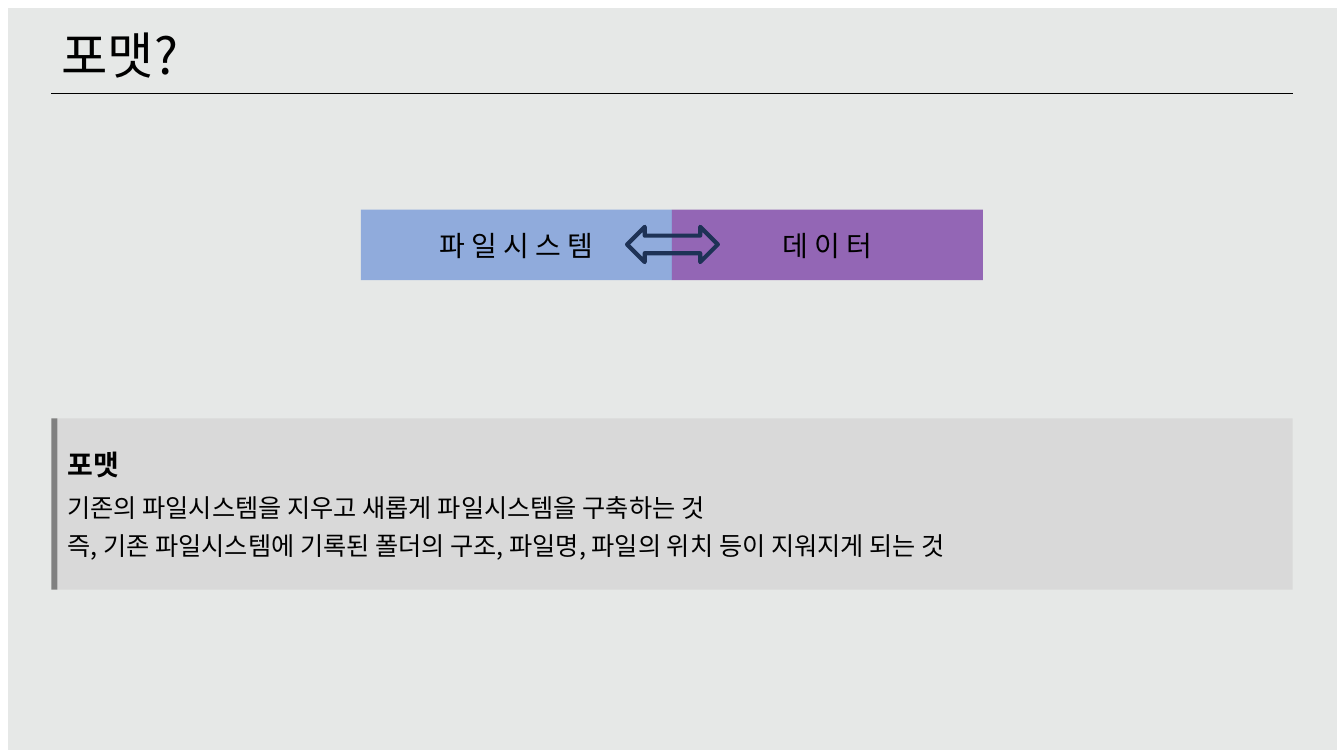
from pptx import Presentation
from pptx.dml.color import RGBColor
from pptx.enum.shapes import MSO_CONNECTOR, MSO_SHAPE
from pptx.enum.text import MSO_ANCHOR, PP_ALIGN
from pptx.oxml.ns import qn
from pptx.util import Inches, Pt
from lxml import etree

RECT = MSO_SHAPE.RECTANGLE
ARROW = MSO_SHAPE.LEFT_RIGHT_ARROW
LINE = MSO_CONNECTOR.STRAIGHT
MIDDLE = MSO_ANCHOR.MIDDLE
LEFT, CENTER = PP_ALIGN.LEFT, PP_ALIGN.CENTER
FONT = "Noto Sans CJK KR"
EDGE, RIGHT = 0.51, 12.82
BAR = 0.06


def color(code):
    return RGBColor.from_string(code)


def add_block(slide, box, fill=None, alpha=100, kind=RECT):
    """Add a borderless shape; alpha is its opacity in percent."""
    shape = slide.shapes.add_shape(kind, *map(Inches, box))
    shape.shadow.inherit = False
    shape.line.fill.background()
    if fill is None:
        shape.fill.background()
        return shape
    shape.fill.solid()
    shape.fill.fore_color.rgb = color(fill)
    if alpha < 100:
        tone = shape.fill._xPr.find(".//" + qn("a:srgbClr"))
        etree.SubElement(tone, qn("a:alpha"), val=str(alpha * 1000))
    return shape


def write(shape, lines, align=LEFT):
    """Fill a shape with (text, size, bold, space before) paragraphs."""
    frame = shape.text_frame
    for i, (text, size, bold, gap) in enumerate(lines):
        para = frame.paragraphs[0] if i == 0 else frame.add_paragraph()
        para.text = text
        para.alignment = align
        para.space_before = Pt(gap)
        font = para.font
        font.name, font.size, font.bold = FONT, Pt(size), bold
        font.color.rgb = color("000000")
        props = para._p.pPr.find(qn("a:defRPr"))
        etree.SubElement(props, qn("a:ea"), typeface=FONT)


def add_title(slide, text):
    box = slide.shapes.add_textbox(*map(Inches, (EDGE, 0.19, 1.44, 0.71)))
    box.text_frame.word_wrap = False
    write(box, [(text, 36, False, 0)])
    rule = slide.shapes.add_connector(
        LINE, *map(Inches, (EDGE, 0.93, RIGHT, 0.93)))
    rule.line.color.rgb = color("000000")
    rule.line.width = Pt(0.5)
    etree.SubElement(rule._element.spPr, qn("a:effectLst"))


def add_pair(slide):
    left, top, width, height = 3.58, 2.08, 3.085, 0.7
    parts = [("파 일 시 스 템", "8FAADC", 98), ("데 이 터", "7030A0", 70)]
    for i, (text, fill, alpha) in enumerate(parts):
        part = add_block(slide, (left + i * width, top, width, height),
                         fill, alpha)
        part.text_frame.vertical_anchor = MIDDLE
        write(part, [(text, 20, False, 0)], CENTER)
    arrow = add_block(slide, (6.22, 2.25, 0.9, 0.35), kind=ARROW)
    arrow.line.color.rgb = color("1E3256")
    arrow.line.width = Pt(3)


def add_note(slide, lines):
    top, height = 4.15, 1.7
    left = EDGE + BAR
    note = add_block(slide, (left, top, RIGHT - left, height), "D9D9D9")
    note.text_frame.vertical_anchor = MIDDLE
    write(note, lines)
    add_block(slide, (EDGE, top, BAR, height), "808080")


def main():
    deck = Presentation()
    deck.slide_width, deck.slide_height = Inches(13.33), Inches(7.5)
    slide = deck.slides.add_slide(deck.slide_layouts[6])
    add_block(slide, (0.08, 0.08, 13.18, 7.36), "E6E8E7")
    add_title(slide, "포맷?")
    add_pair(slide)
    add_note(slide, [
        ("포맷", 20, True, 0),
        ("기존의 파일시스템을 지우고 새롭게 파일시스템을 구축하는 것", 18, False, 8.5),
        ("즉, 기존 파일시스템에 기록된 폴더의 구조, 파일명, 파일의 위치 등이 "
         "지워지게 되는 것", 18, False, 5.5),
    ])
    deck.save("out.pptx")


if __name__ == "__main__":
    main()
